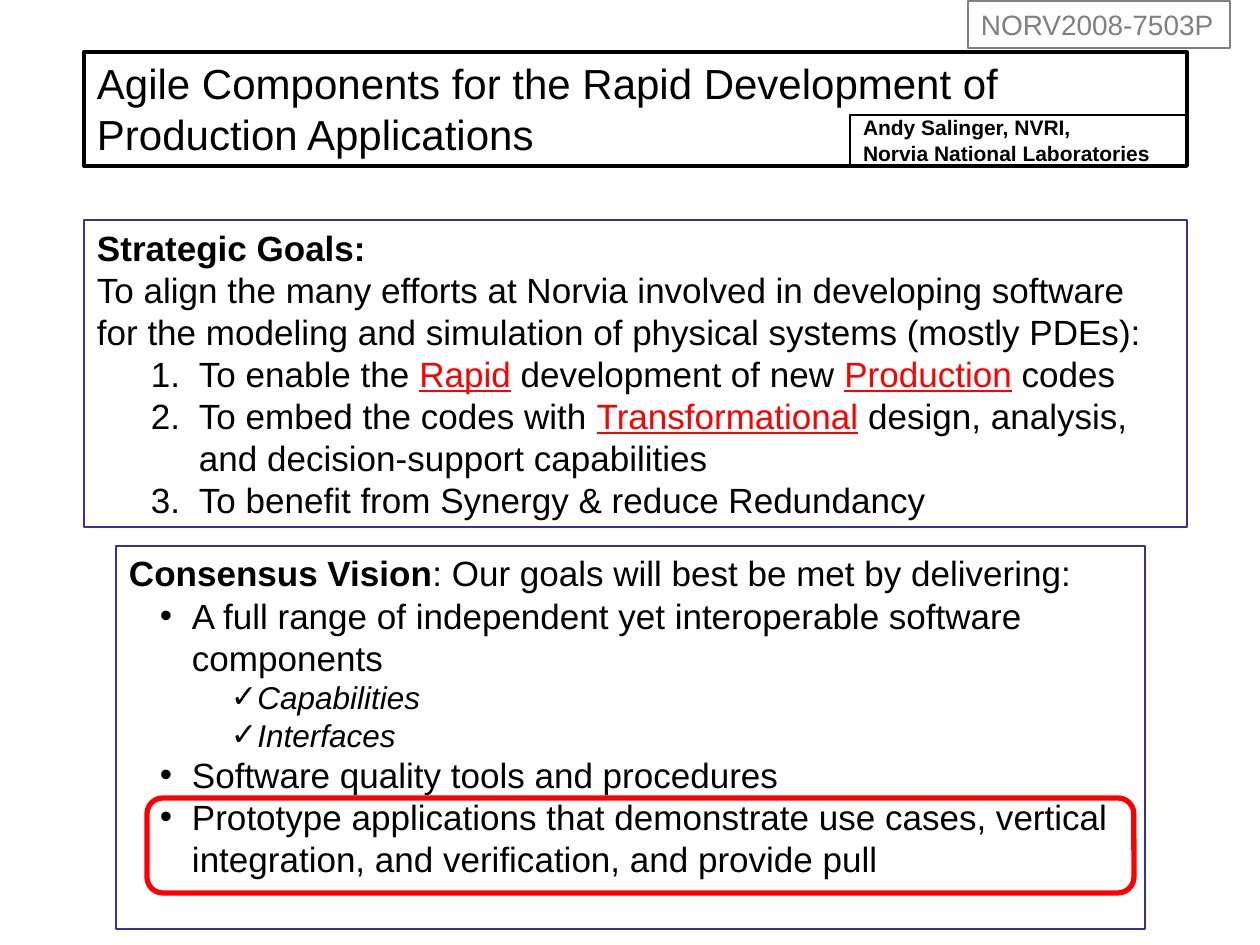
from lxml.etree import SubElement
from pptx import Presentation
from pptx.dml.color import RGBColor
from pptx.enum.shapes import MSO_SHAPE
from pptx.enum.text import MSO_ANCHOR, PP_ALIGN
from pptx.oxml.ns import qn
from pptx.util import Pt

PX = 914400 // 126
COLORS = {"black": "000000", "navy": "333399", "red": "FF0000", "gray": "808080"}
LISTS = {
    "number": (1, 102, -48, "buAutoNum", {"type": "arabicPeriod"}),
    "bullet": (1, 63, -32, "buChar", {"char": "•"}),
    "check": (2, 126, -24, "buChar", {"char": "✓"}),
}


def add_box(s, shape, box, color, width, inset=6):
    sp = s.shapes.add_shape(shape, *[v * PX for v in box])
    sp.shadow.inherit = False
    sp.fill.background()
    sp.line.color.rgb = RGBColor.from_string(COLORS[color])
    sp.line.width = Pt(width)
    tf = sp.text_frame
    tf.word_wrap = True
    tf.vertical_anchor = MSO_ANCHOR.TOP
    tf.margin_left = tf.margin_right = 13 * PX
    tf.margin_top = tf.margin_bottom = inset * PX
    return tf


def add_text(tf, paras, color="black"):
    for i, (kind, size, runs) in enumerate(paras):
        p = tf.paragraphs[0] if i == 0 else tf.add_paragraph()
        p.alignment = PP_ALIGN.LEFT
        if kind:
            level, left, indent, tag, attrs = LISTS[kind]
            p.level = level
            pPr = p._p.get_or_add_pPr()
            pPr.set("marL", str(left * PX))
            pPr.set("indent", str(indent * PX))
            SubElement(pPr, qn("a:buFont"), typeface="Arial")
            SubElement(pPr, qn(f"a:{tag}"), attrs)
        for text, style in runs:
            r = p.add_run()
            r.text = text
            r.font.name = "Arial"
            r.font.size = Pt(size)
            r.font.bold = style == "bold"
            r.font.italic = style == "italic"
            r.font.underline = style == "key"
            name = "red" if style == "key" else color
            r.font.color.rgb = RGBColor.from_string(COLORS[name])


prs = Presentation()
prs.slide_width = 1260 * PX
prs.slide_height = 945 * PX
s = prs.slides.add_slide(prs.slide_layouts[6])

tf = add_box(s, MSO_SHAPE.RECTANGLE, (84, 220, 1103, 307), "navy", 0.75)
add_text(tf, [
    (None, 20, [("Strategic Goals:", "bold")]),
    (None, 20, [("To align the many efforts at Norvia involved in developing software "
                 "for the modeling and simulation of physical systems (mostly PDEs):", "")]),
    ("number", 20, [("To enable the ", ""), ("Rapid", "key"), (" development of new ", ""),
                    ("Production", "key"), (" codes", "")]),
    ("number", 20, [("To embed the codes with ", ""), ("Transformational", "key"),
                    (" design, analysis, and decision-support capabilities", "")]),
    ("number", 20, [("To benefit from Synergy & reduce Redundancy", "")]),
])

tf = add_box(s, MSO_SHAPE.RECTANGLE, (84, 52, 1103, 114), "black", 2.25)
add_text(tf, [(None, 24, [("Agile Components for the Rapid Development of "
                           "Production Applications", "")])])

tf = add_box(s, MSO_SHAPE.RECTANGLE, (850, 115, 336, 50), "black", 0.75, 0)
add_text(tf, [
    (None, 12, [("Andy Salinger, NVRI,", "bold")]),
    (None, 12, [("Norvia National Laboratories", "bold")]),
])

tf = add_box(s, MSO_SHAPE.RECTANGLE, (116, 546, 1029, 383), "navy", 1.5)
add_text(tf, [
    (None, 20, [("Consensus Vision", "bold"),
                (": Our goals will best be met by delivering:", "")]),
    ("bullet", 20, [("A full range of independent yet interoperable software components", "")]),
    ("check", 18, [("Capabilities", "italic")]),
    ("check", 18, [("Interfaces", "italic")]),
    ("bullet", 20, [("Software quality tools and procedures", "")]),
    ("bullet", 20, [("Prototype applications that demonstrate use cases, vertical "
                     "integration, and verification, and provide pull", "")]),
])

add_box(s, MSO_SHAPE.FLOWCHART_ALTERNATE_PROCESS, (147, 798, 987, 95), "red", 3)

tf = add_box(s, MSO_SHAPE.RECTANGLE, (968, 1, 262, 47), "gray", 0.75)
tf.word_wrap = False
tf.vertical_anchor = MSO_ANCHOR.MIDDLE
add_text(tf, [(None, 16, [("NORV2008-7503P", "")])], "gray")

prs.save("out.pptx")
